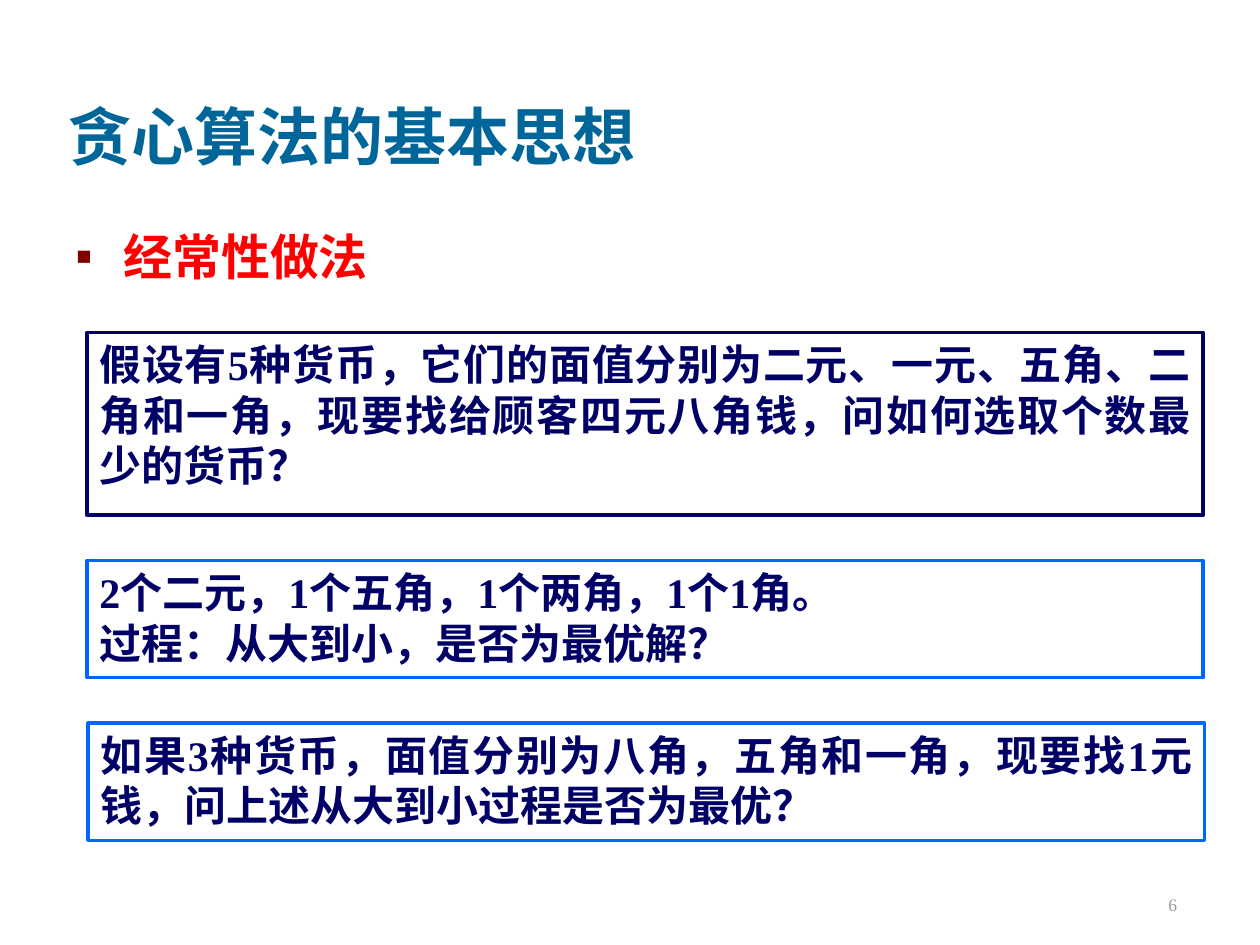
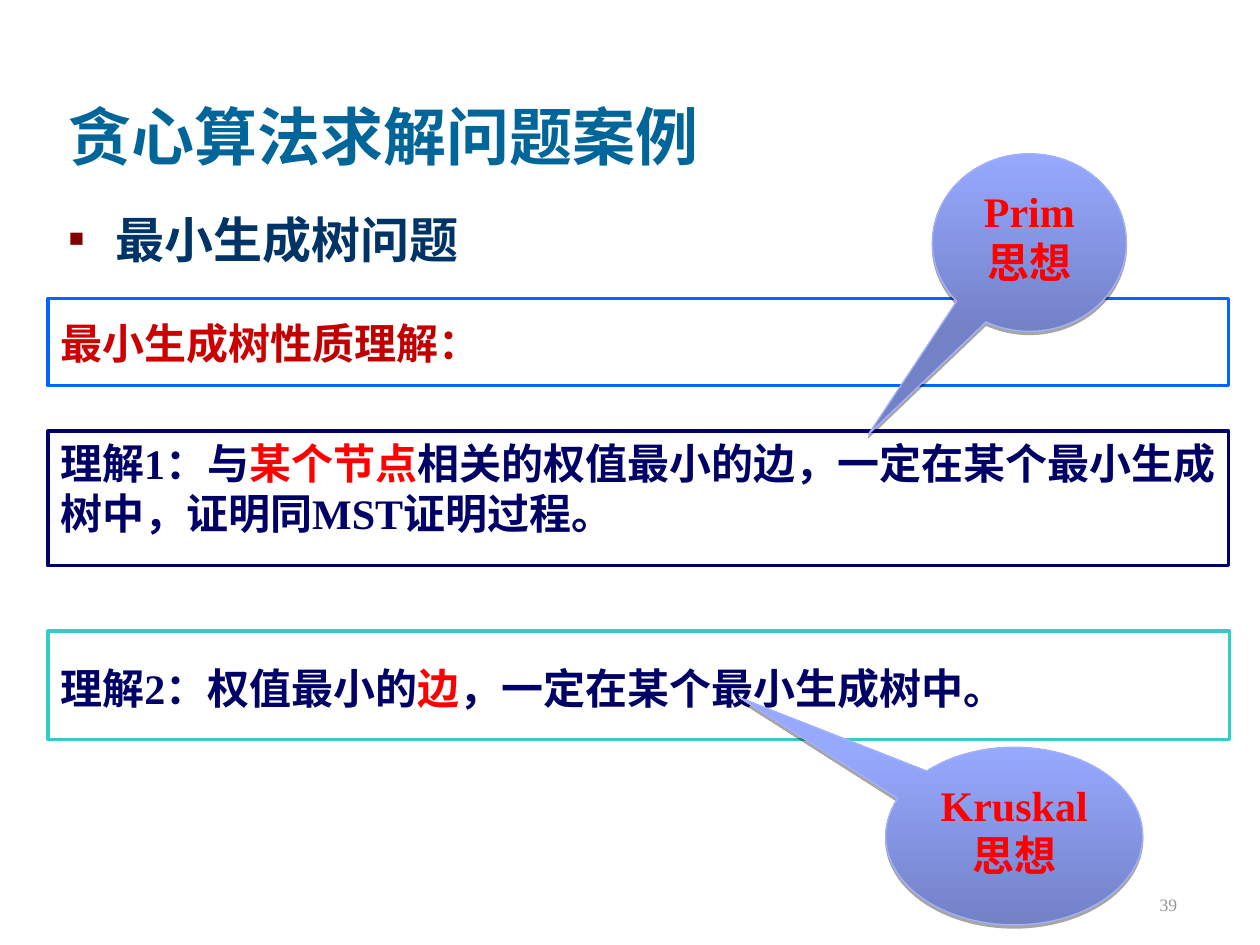
from dataclasses import dataclass
from typing import Optional

from lxml.etree import SubElement
from pptx import Presentation
from pptx.dml.color import RGBColor
from pptx.enum.shapes import MSO_SHAPE
from pptx.enum.text import MSO_ANCHOR, MSO_AUTO_SIZE, PP_ALIGN
from pptx.oxml.ns import qn
from pptx.util import Inches, Pt

SLIDE_WIDTH, SLIDE_HEIGHT = Inches(10), Inches(7.5)
FONT = "Times New Roman"

WHITE = RGBColor(0xFF, 0xFF, 0xFF)
TITLE_TEAL = RGBColor(0x00, 0x66, 0x99)
NAVY = RGBColor(0x00, 0x00, 0x66)
DEEP_BLUE = RGBColor(0x00, 0x33, 0x66)
BRIGHT_BLUE = RGBColor(0x00, 0x66, 0xFF)
AQUA = RGBColor(0x33, 0xCC, 0xCC)
RED = RGBColor(0xFF, 0x00, 0x00)
CRIMSON = RGBColor(0xCC, 0x00, 0x00)
DARK_RED = RGBColor(0xC0, 0x00, 0x00)
BULLET_MAROON = RGBColor(0x80, 0x00, 0x00)
NUMBER_GREY = RGBColor(0x96, 0x96, 0x96)
BUBBLE_LOW = RGBColor(0x73, 0x81, 0xC7)
BUBBLE_HIGH = RGBColor(0x97, 0xA9, 0xFF)
BUBBLE_EDGE = RGBColor(0xA4, 0xB2, 0xFB)


@dataclass(frozen=True)
class Area:
    """Left, top, width and height in percent of the slide."""
    left: float
    top: float
    width: float
    height: float

    def box(self) -> tuple[int, int, int, int]:
        return (
            round(SLIDE_WIDTH * self.left / 100),
            round(SLIDE_HEIGHT * self.top / 100),
            round(SLIDE_WIDTH * self.width / 100),
            round(SLIDE_HEIGHT * self.height / 100),
        )


@dataclass(frozen=True)
class Span:
    text: str
    color: RGBColor = NAVY


@dataclass(frozen=True)
class Panel:
    area: Area
    edge: RGBColor
    lines: list[list[Span]]
    align: PP_ALIGN = PP_ALIGN.LEFT
    spacing: Optional[float] = None


@dataclass(frozen=True)
class Bubble:
    area: Area
    text: str
    tip: tuple[float, float]


@dataclass(frozen=True)
class Page:
    title: str
    topic: Span
    topic_area: Area
    number: str
    panels: list[Panel]
    bubbles: list[Bubble]


TITLE_AREA = Area(4.4, 2.27, 85, 16.67)
NUMBER_AREA = Area(73.6, 90.8, 20.8, 6.67)

PAGES = [
    Page(
        "贪心算法的基本思想",
        Span("经常性做法", RED),
        Area(5, 23.33, 89.4, 65),
        "6",
        [
            Panel(
                Area(6.9, 35.2, 88.6, 19.33), NAVY,
                [[Span("假设有5种货币，它们的面值分别为二元、一元、五角、二角和一角，"
                       "现要找给顾客四元八角钱，问如何选取个数最少的货币？")]],
                PP_ALIGN.JUSTIFY,
            ),
            Panel(
                Area(6.9, 59.33, 88.6, 12.4), BRIGHT_BLUE,
                [[Span("2个二元，1个五角，1个两角，1个1角。")],
                 [Span("过程：从大到小，是否为最优解？")]],
            ),
            Panel(
                Area(7, 76.53, 88.6, 12.4), BRIGHT_BLUE,
                [[Span("如果3种货币，面值分别为八角，五角和一角，现要找1元钱，"
                       "问上述从大到小过程是否为最优？")]],
                PP_ALIGN.JUSTIFY,
            ),
        ],
        [],
    ),
    Page(
        "贪心算法求解问题案例",
        Span("最小生成树问题", DEEP_BLUE),
        Area(4.4, 21.47, 89.4, 8.27),
        "39",
        [
            Panel(
                Area(3.8, 31.6, 93.7, 9.2), BRIGHT_BLUE,
                [[Span("最小生成树", CRIMSON), Span("性质理解：", DARK_RED)]],
                spacing=1.25,
            ),
            Panel(
                Area(3.8, 45.6, 93.7, 14.27), NAVY,
                [[Span("理解1：与"), Span("某个节点", RED),
                  Span("相关的权值最小的边，一定在某个最小生成树中，证明同MST证明过程。")]],
            ),
            Panel(
                Area(3.8, 66.8, 93.8, 11.47), AQUA,
                [[Span("理解2：权值最小的"), Span("边", RED),
                  Span("，一定在某个最小生成树中。")]],
                spacing=1.5,
            ),
        ],
        [
            Bubble(Area(74, 16.27, 15.4, 18.8), "Prim思想", (-0.83, 1.08)),
            Bubble(Area(70.3, 79.07, 20.4, 18.8), "Kruskal思想", (-1.07, -0.78)),
        ],
    ),
]


def write_line(paragraph, spans: list[Span], size: int, bold: bool = True,
               align: PP_ALIGN = PP_ALIGN.LEFT) -> None:
    paragraph.alignment = align
    paragraph.font.name = FONT
    paragraph.font.size = Pt(size)
    paragraph.font.bold = bold
    uniform = len({span.color for span in spans}) == 1
    if uniform:
        paragraph.font.color.rgb = spans[0].color
    for span in spans:
        run = paragraph.add_run()
        run.text = span.text
        if not uniform:
            run.font.color.rgb = span.color


def prepare_frame(shape, anchor: MSO_ANCHOR = MSO_ANCHOR.TOP):
    frame = shape.text_frame
    frame.word_wrap = True
    frame.auto_size = MSO_AUTO_SIZE.NONE
    frame.vertical_anchor = anchor
    return frame


def add_title(slide, text: str) -> None:
    title = slide.shapes.title
    title.left, title.top, title.width, title.height = TITLE_AREA.box()
    frame = prepare_frame(title, MSO_ANCHOR.BOTTOM)
    write_line(frame.paragraphs[0], [Span(text, TITLE_TEAL)], 36)


def add_topic(slide, topic: Span, area: Area) -> None:
    frame = prepare_frame(slide.shapes.add_textbox(*area.box()))
    paragraph = frame.paragraphs[0]
    properties = paragraph._p.get_or_add_pPr()
    hang = Inches(0.38)
    properties.set("marL", str(hang))
    properties.set("indent", str(-hang))
    bullet_color = SubElement(properties, qn("a:buClr"))
    SubElement(bullet_color, qn("a:srgbClr"), val=str(BULLET_MAROON))
    SubElement(properties, qn("a:buFont"), typeface=FONT)
    SubElement(properties, qn("a:buChar"), char="▪")
    write_line(paragraph, [topic], 28)


def add_number(slide, number: str) -> None:
    frame = prepare_frame(slide.shapes.add_textbox(*NUMBER_AREA.box()), MSO_ANCHOR.BOTTOM)
    write_line(frame.paragraphs[0], [Span(number, NUMBER_GREY)], 10, False, PP_ALIGN.RIGHT)


def add_panel(slide, panel: Panel) -> None:
    shape = slide.shapes.add_shape(MSO_SHAPE.RECTANGLE, *panel.area.box())
    shape.shadow.inherit = False
    shape.fill.solid()
    shape.fill.fore_color.rgb = WHITE
    shape.line.color.rgb = panel.edge
    shape.line.width = Pt(2)
    frame = prepare_frame(shape)
    for index, spans in enumerate(panel.lines):
        paragraph = frame.add_paragraph() if index else frame.paragraphs[0]
        if panel.spacing:
            paragraph.line_spacing = panel.spacing
        write_line(paragraph, spans, 24, align=panel.align)


def add_bubble(slide, bubble: Bubble) -> None:
    shape = slide.shapes.add_shape(MSO_SHAPE.OVAL_CALLOUT, *bubble.area.box())
    for index, offset in enumerate(bubble.tip):
        shape.adjustments[index] = offset
    shape.fill.gradient()
    shape.fill.gradient_angle = 90
    for stop, color in zip(shape.fill.gradient_stops, (BUBBLE_LOW, BUBBLE_HIGH)):
        stop.color.rgb = color
    shape.line.color.rgb = BUBBLE_EDGE
    shape.line.width = Pt(0.75)
    shape.shadow.inherit = False
    effects = shape._element.spPr.find(qn("a:effectLst"))
    shadow = SubElement(effects, qn("a:outerShdw"), blurRad="0", dist=str(Pt(1.8)),
                        dir="5400000", rotWithShape="0")
    shadow_color = SubElement(shadow, qn("a:srgbClr"), val="000000")
    SubElement(shadow_color, qn("a:alpha"), val="35000")
    frame = prepare_frame(shape)
    write_line(frame.paragraphs[0], [Span(bubble.text, RED)], 24, align=PP_ALIGN.CENTER)


def add_page(deck, page: Page) -> None:
    slide = deck.slides.add_slide(deck.slide_layouts.get_by_name("Title Only"))
    add_title(slide, page.title)
    add_topic(slide, page.topic, page.topic_area)
    add_number(slide, page.number)
    for panel in page.panels:
        add_panel(slide, panel)
    for bubble in page.bubbles:
        add_bubble(slide, bubble)


def main() -> None:
    deck = Presentation()
    deck.slide_width, deck.slide_height = SLIDE_WIDTH, SLIDE_HEIGHT
    for page in PAGES:
        add_page(deck, page)
    deck.save("out.pptx")


if __name__ == "__main__":
    main()
